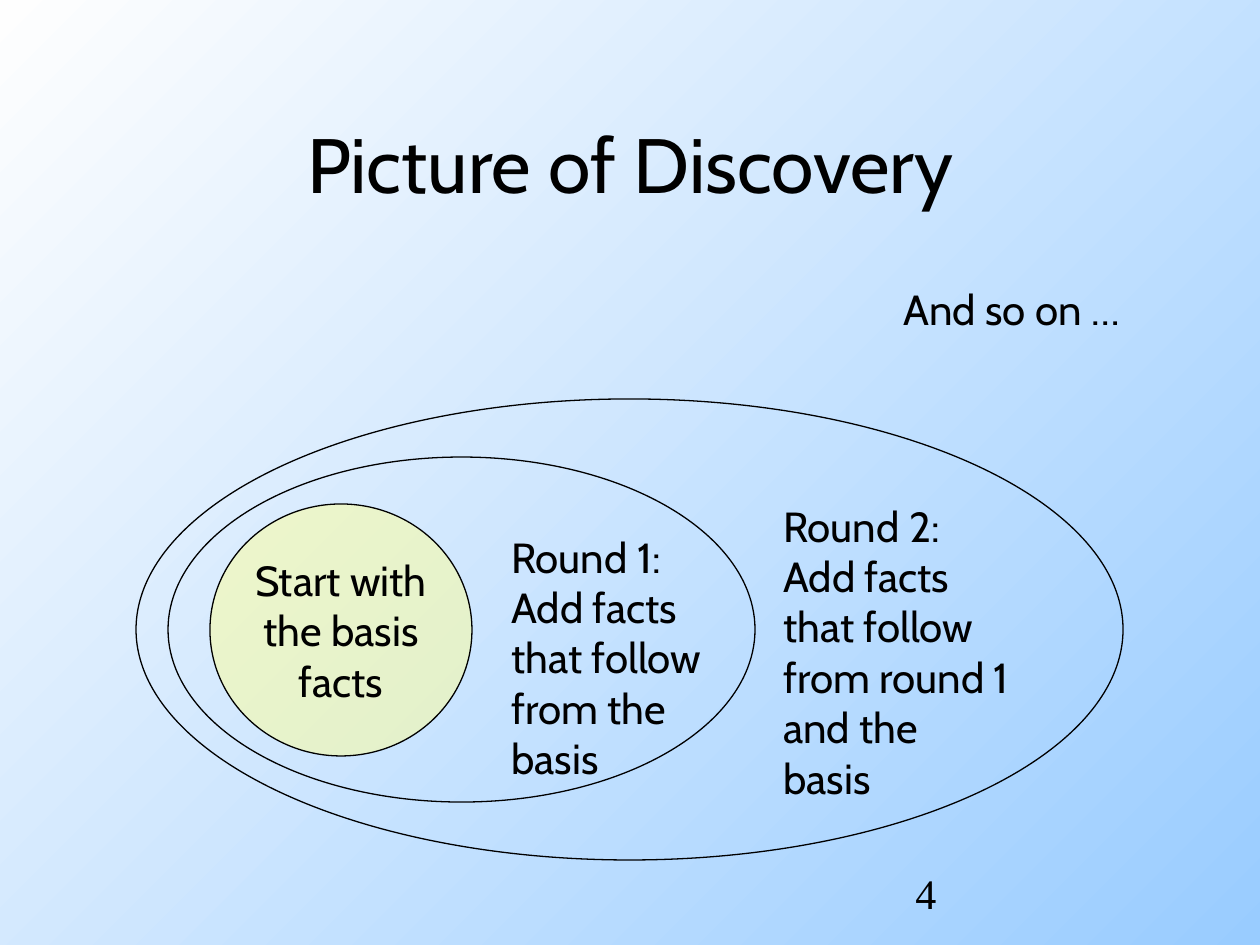
from dataclasses import dataclass

from lxml import etree
from pptx import Presentation
from pptx.dml.color import RGBColor
from pptx.enum.shapes import MSO_SHAPE
from pptx.enum.text import MSO_ANCHOR, MSO_AUTO_SIZE, PP_ALIGN
from pptx.oxml.ns import qn
from pptx.util import Emu, Pt

OVAL = MSO_SHAPE.OVAL
MIDDLE, TOP = MSO_ANCHOR.MIDDLE, MSO_ANCHOR.TOP
GROW = MSO_AUTO_SIZE.SHAPE_TO_FIT_TEXT
CENTER, LEFT = PP_ALIGN.CENTER, PP_ALIGN.LEFT

EMU_PER_PX = 914400 / 126
SLIDE_SIZE = (1260, 945)


@dataclass(frozen=True)
class Theme:
    ink: RGBColor = RGBColor(0, 0, 0)
    sky: RGBColor = RGBColor(0x99, 0xCC, 0xFF)
    haze: RGBColor = RGBColor(0xFE, 0xFE, 0xFE)
    basis: RGBColor = RGBColor(0xFF, 0xFF, 0x99)
    basis_opacity: int = 50
    font: str = "Cabin"
    number_font: str = "Times New Roman"
    title_size: int = 44
    body_size: int = 24
    outline: float = 0.75


THEME = Theme()


def px(*lengths):
    return [Emu(round(length * EMU_PER_PX)) for length in lengths]


def write(frame, lines, size=THEME.body_size, font=THEME.font,
          align=LEFT, anchor=TOP, wrap=False):
    """Fill a text frame with one paragraph per line."""
    frame.word_wrap = wrap
    frame.vertical_anchor = anchor
    for index, line in enumerate(lines):
        paragraph = frame.add_paragraph() if index else frame.paragraphs[0]
        paragraph.text = line
        paragraph.alignment = align
        paragraph.font.size = Pt(size)
        paragraph.font.name = font
        paragraph.font.color.rgb = THEME.ink


def add_label(shapes, box, lines):
    frame = shapes.add_textbox(*px(*box)).text_frame
    write(frame, lines)
    frame.auto_size = GROW


def add_oval(shapes, box):
    oval = shapes.add_shape(OVAL, *px(*box))
    oval.shadow.inherit = False
    oval.fill.background()
    oval.line.color.rgb = THEME.ink
    oval.line.width = Pt(THEME.outline)
    return oval


def paint_background(slide):
    fill = slide.background.fill
    fill.gradient()
    fill.gradient_angle = 135
    for stop, color in zip(fill.gradient_stops, (THEME.sky, THEME.haze)):
        stop.color.rgb = color


def add_title(slide, box, title):
    frame = slide.shapes.add_textbox(*px(*box)).text_frame
    write(frame, [title], size=THEME.title_size, align=CENTER,
          anchor=MIDDLE, wrap=True)


def add_basis(slide, box, lines):
    """Draw the translucent starting set of facts."""
    oval = add_oval(slide.shapes, box)
    oval.fill.solid()
    oval.fill.fore_color.rgb = THEME.basis
    color = oval.fill._xPr.find(qn("a:solidFill"))[0]
    etree.SubElement(color, qn("a:alpha"), val=str(THEME.basis_opacity * 1000))
    write(oval.text_frame, lines, align=CENTER, anchor=MIDDLE)


def add_round(slide, box, label_box, lines):
    """Group an enclosing oval with its label, placed relative to the oval."""
    shapes = slide.shapes.add_group_shape().shapes
    add_oval(shapes, box)
    left, top, width, height = label_box
    add_label(shapes, (box[0] + left, box[1] + top, width, height), lines)


def add_slide_number(slide, box, number):
    frame = slide.shapes.add_textbox(*px(*box)).text_frame
    write(frame, [str(number)], font=THEME.number_font, wrap=True)


def main():
    deck = Presentation()
    deck.slide_width, deck.slide_height = px(*SLIDE_SIZE)
    slide = deck.slides.add_slide(deck.slide_layouts[6])

    paint_background(slide)
    add_title(slide, (95, 84, 1071, 158), "Picture of Discovery")
    add_basis(slide, (210, 504, 262, 252),
              ["Start with", "the basis", "facts"])
    add_round(slide, (168, 457, 587, 345), (331, 68, 236, 265),
              ["Round 1:", "Add facts", "that follow", "from the", "basis"])
    add_round(slide, (136, 399, 987, 461), (635, 95, 287, 315),
              ["Round 2:", "Add facts", "that follow", "from round 1",
               "and the", "basis"])
    add_label(slide.shapes, (891, 277, 266, 63), ["And so on …"])
    add_slide_number(slide, (903, 861, 262, 62), 4)

    deck.save("out.pptx")


if __name__ == "__main__":
    main()
